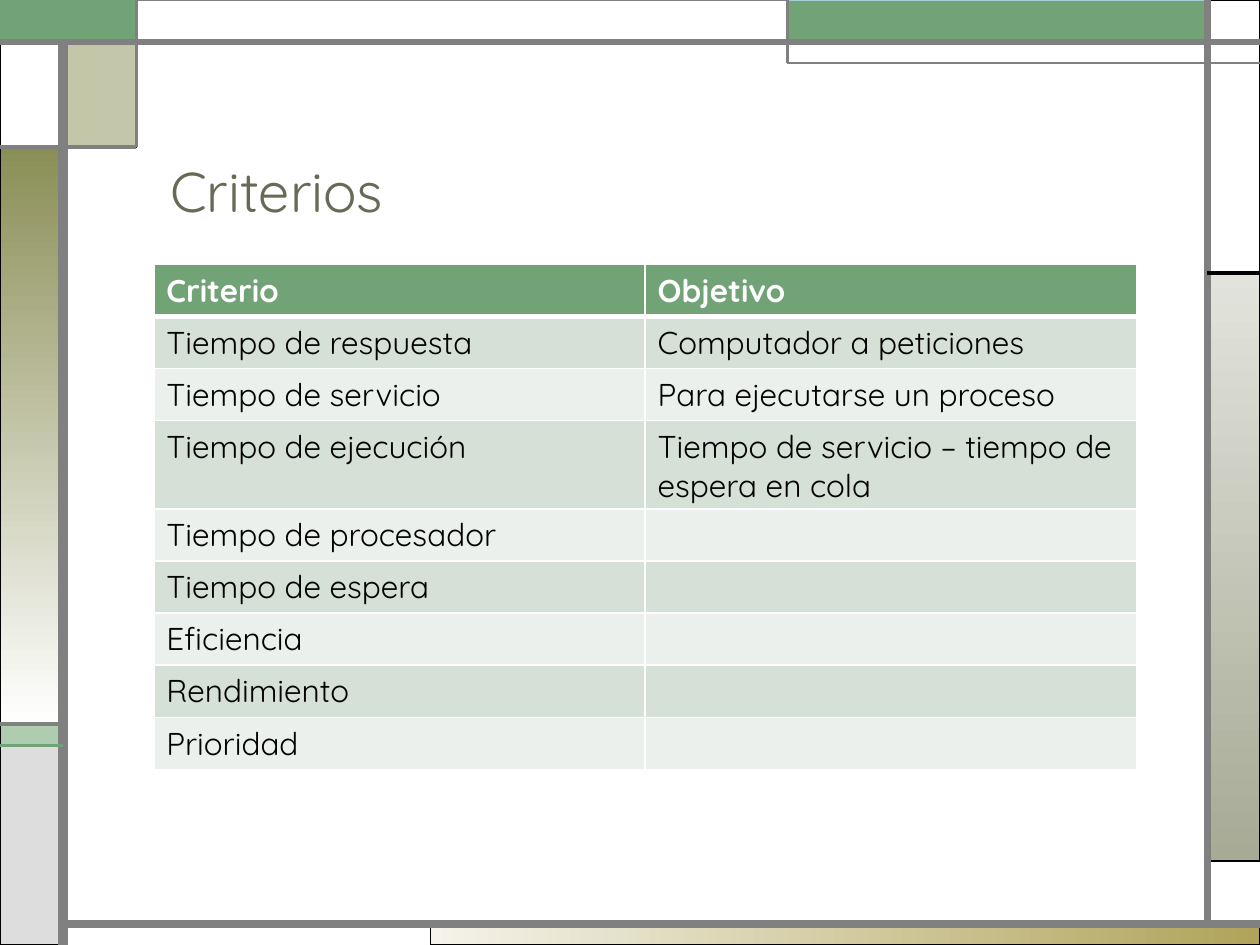
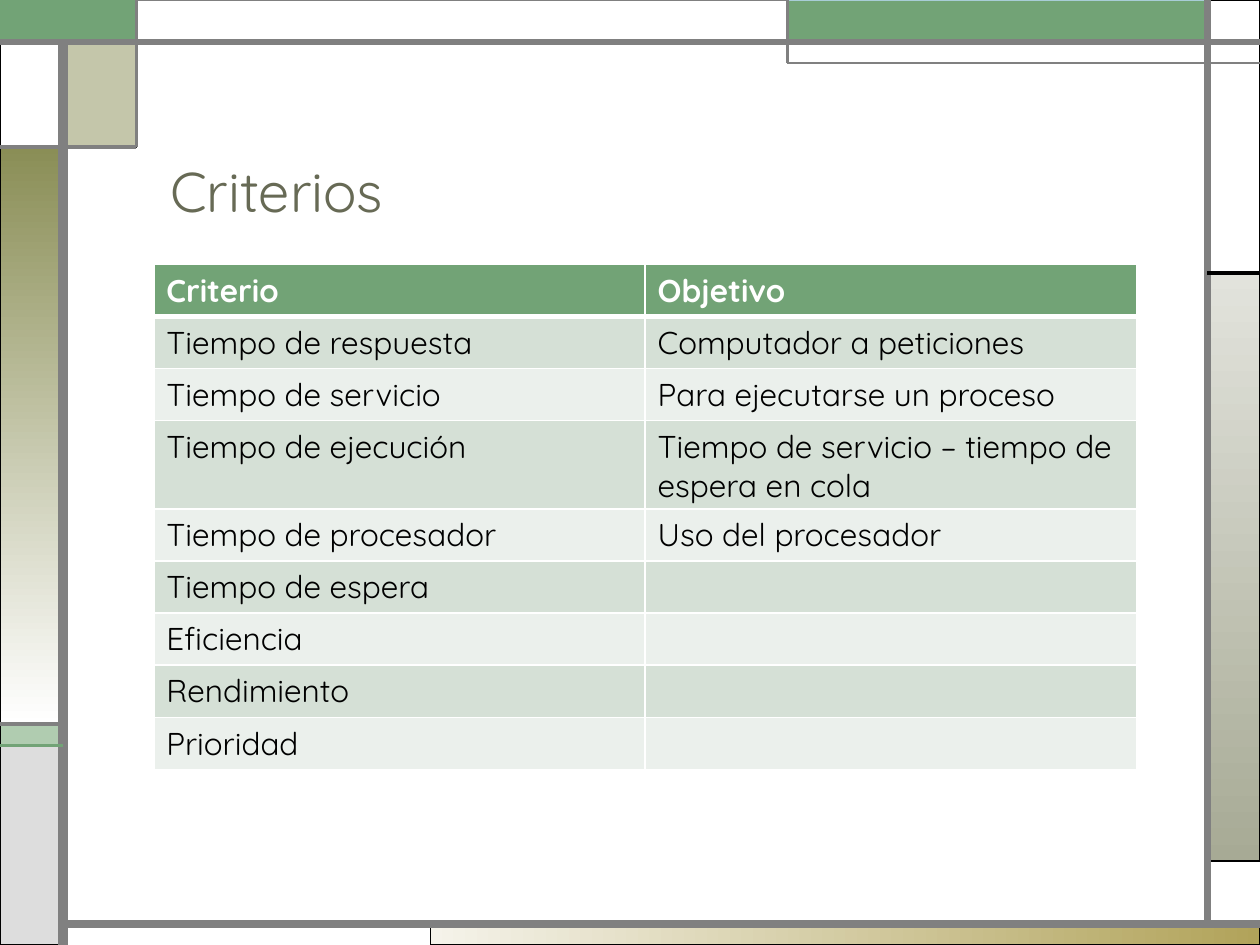
"""Two slides on scheduling criteria: a framed page with a title and a table."""
from lxml.etree import SubElement
from pptx import Presentation
from pptx.dml.color import RGBColor
from pptx.enum.shapes import MSO_CONNECTOR, MSO_SHAPE
from pptx.enum.text import MSO_ANCHOR
from pptx.oxml.ns import qn
from pptx.util import Cm, Pt

WHITE = RGBColor(0xFF, 0xFF, 0xFF)
BLACK = RGBColor(0x00, 0x00, 0x00)
GRAY = RGBColor(0x80, 0x80, 0x80)
LIGHT_GRAY = RGBColor(0xDD, 0xDD, 0xDD)
GREEN = RGBColor(0x72, 0xA3, 0x76)
LIGHT_GREEN = RGBColor(0xB0, 0xCC, 0xB0)
PALE_BLUE = RGBColor(0xA8, 0xCD, 0xD7)
OLIVE = RGBColor(0x8A, 0x8E, 0x56)
CREAM = RGBColor(0xF5, 0xF3, 0xEA)
GOLD = RGBColor(0xB1, 0xA3, 0x5A)
MIST = RGBColor(0xE2, 0xE3, 0xDC)
SAGE = RGBColor(0xA7, 0xAA, 0x95)
TITLE_COLOR = RGBColor(0x67, 0x6A, 0x55)
BAND_DARK = RGBColor(0xD5, 0xE0, 0xD6)
BAND_LIGHT = RGBColor(0xEB, 0xF0, 0xEC)

FONT = "Quicksand"
WIDTH, HEIGHT = 120, 90
UNIT = 25.4 / WIDTH
RIGHT_TO_LEFT, DOWN = 0, 270

PANELS = [
    (41, 88, 79, 2, (CREAM, GOLD, RIGHT_TO_LEFT), BLACK, 0.75),
    (115, 26, 5, 56, (MIST, SAGE, DOWN), BLACK, 0.75),
    (0, 69, 6, 2, (LIGHT_GREEN,), BLACK, 0.75),
    (0, 71, 6, 19, (LIGHT_GRAY,), BLACK, 0.75),
    (115, 0, 5, 26, (WHITE,), BLACK, 0.75),
    (75, 0, 40, 4, (GREEN,), PALE_BLUE, 0.75),
    (6, 4, 7, 10, (OLIVE, 50), BLACK, 0.75),
    (0, 14, 6, 55, (OLIVE, WHITE, DOWN), BLACK, 0.75),
    (0, 4, 6, 10, (WHITE,), BLACK, 0.75),
    (0, 0, 13, 4, (GREEN,), GREEN, 1.5),
    (13, 0, 62, 4, (WHITE,), GRAY, 0.75),
]
RULES = [
    (6, HEIGHT, 6, 4, GRAY, 6),
    (6, 88, WIDTH, 88, GRAY, 4.5),
    (115, 88, 115, 0, GRAY, 4.5),
    (0, 4, WIDTH, 4, GRAY, 3),
    (WIDTH, 6, 75, 6, GRAY, 1.5),
    (75, 6, 75, 0, GRAY, 1.5),
    (115, 26, WIDTH, 26, BLACK, 2.25),
    (13, 0, 13, 14, GRAY, 1.5),
    (13, 14, 0, 14, GRAY, 2.25),
    (6, 69, 0, 69, GRAY, 2.25),
    (6, 71, 0, 71, GREEN, 2.25),
]

CRITERIA = [
    "Criterio", "Tiempo de respuesta", "Tiempo de servicio", "Tiempo de ejecución",
    "Tiempo de procesador", "Tiempo de espera", "Eficiencia", "Rendimiento", "Prioridad",
]
GOALS = [
    "Objetivo", "Computador a peticiones", "Para ejecutarse un proceso",
    "Tiempo de servicio – tiempo de espera en cola",
]
SLIDE_GOALS = [GOALS, GOALS + ["Uso del procesador"]]


def add_text(paragraph, text, size, color, bold=False):
    run = paragraph.add_run()
    run.text = text
    run.font.name = FONT
    run.font.size = Pt(size)
    run.font.bold = bold
    run.font.color.rgb = color


def add_border(cell, side, points):
    properties = cell._tc.get_or_add_tcPr()
    line = SubElement(properties, qn(f"a:ln{side}"), w=str(Pt(points)))
    fill = SubElement(line, qn("a:solidFill"))
    SubElement(fill, qn("a:srgbClr"), val=str(WHITE))


presentation = Presentation()
presentation.slide_width = Cm(WIDTH * UNIT)
presentation.slide_height = Cm(HEIGHT * UNIT)

for goals in SLIDE_GOALS:
    slide = presentation.slides.add_slide(presentation.slide_layouts[6])
    slide.background.fill.solid()
    slide.background.fill.fore_color.rgb = WHITE

    for left, top, width, height, paint, line_color, line_width in PANELS:
        box = [Cm(value * UNIT) for value in (left, top, width, height)]
        shape = slide.shapes.add_shape(MSO_SHAPE.RECTANGLE, *box)
        shape.shadow.inherit = False
        shape.line.color.rgb = line_color
        shape.line.width = Pt(line_width)
        if len(paint) == 3:
            shape.fill.gradient()
            shape.fill.gradient_angle = paint[2]
            for stop, color in zip(shape.fill.gradient_stops, paint):
                stop.color.rgb = color
        else:
            shape.fill.solid()
            shape.fill.fore_color.rgb = paint[0]
        if len(paint) == 2:
            color = shape.element.spPr.find(qn("a:solidFill")).find(qn("a:srgbClr"))
            SubElement(color, qn("a:alpha"), val=str(paint[1] * 1000))

    for start_x, start_y, end_x, end_y, color, line_width in RULES:
        ends = [Cm(value * UNIT) for value in (start_x, start_y, end_x, end_y)]
        connector = slide.shapes.add_connector(MSO_CONNECTOR.STRAIGHT, *ends)
        connector.line.color.rgb = color
        connector.line.width = Pt(line_width)
        SubElement(connector._element.spPr, qn("a:effectLst"))

    title = slide.shapes.add_textbox(Cm(3.18), Cm(1.48), Cm(20), Cm(3.18))
    title.text_frame.word_wrap = True
    title.text_frame.vertical_anchor = MSO_ANCHOR.BOTTOM
    paragraph = title.text_frame.paragraphs[0]
    paragraph.line_spacing = 0.9
    add_text(paragraph, "Criterios", 32, TITLE_COLOR)

    row_height = Cm(1.05)
    table = slide.shapes.add_table(
        len(CRITERIA), 2, Cm(3.1), Cm(5.33), Cm(19.81), row_height * len(CRITERIA)
    ).table
    for column, texts in enumerate((CRITERIA, goals)):
        for row in range(len(CRITERIA)):
            header = row == 0
            cell = table.cell(row, column)
            add_border(cell, "L", 1)
            add_border(cell, "R", 1)
            add_border(cell, "T", 3 if row == 1 else 1)
            add_border(cell, "B", 3 if header else 1)
            cell.fill.solid()
            cell.fill.fore_color.rgb = GREEN if header else (BAND_LIGHT, BAND_DARK)[row % 2]
            if row < len(texts):
                paragraph = cell.text_frame.paragraphs[0]
                add_text(paragraph, texts[row], 18, WHITE if header else BLACK, header)

presentation.save("out.pptx")
